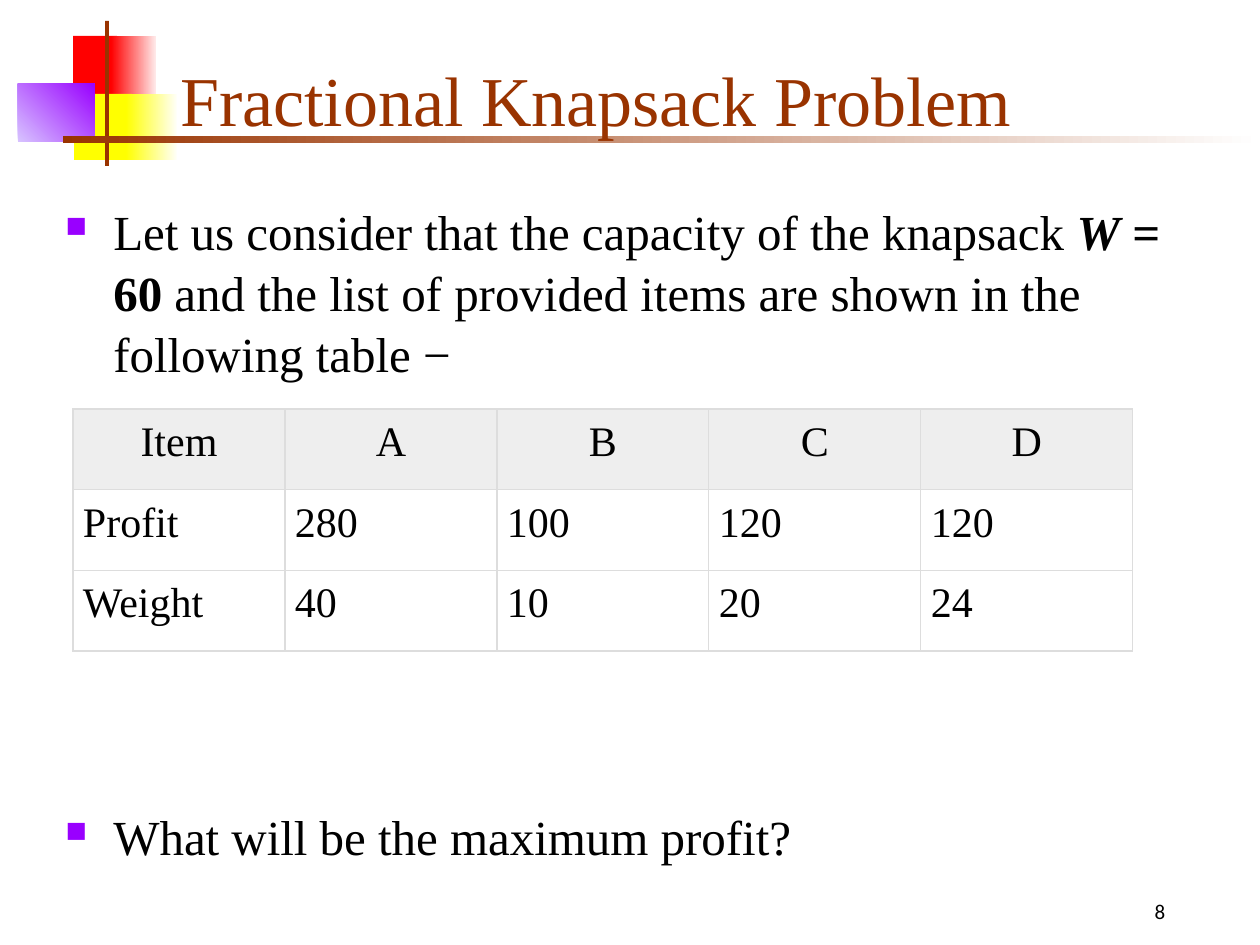
from dataclasses import dataclass

from lxml.etree import SubElement as add_element
from pptx import Presentation
from pptx.dml.color import RGBColor as Color
from pptx.enum.shapes import MSO_SHAPE as Preset
from pptx.enum.text import MSO_ANCHOR as Anchor, PP_ALIGN as Align
from pptx.oxml.ns import qn
from pptx.util import Pt

PX = 914400 / 126


@dataclass(frozen=True)
class Theme:
    serif: str = "Times New Roman"
    sans: str = "Calibri"
    ink: str = "000000"
    brown: str = "993300"
    purple: str = "9900FF"
    lilac: str = "D8C4FF"
    red: str = "FF0000"
    pink: str = "FFEAEA"
    yellow: str = "FFFF00"
    cream: str = "FFFFF8"
    white: str = "FFFFFF"
    header: str = "EEEEEE"
    border: str = "DDDDDD"
    title_size: int = 40
    body_size: int = 28
    table_size: int = 24
    number_size: int = 12
    border_width: float = 0.75


@dataclass(frozen=True)
class Area:
    left: int
    top: int
    width: int
    height: int

    def emu(self) -> tuple[int, ...]:
        return tuple(px(n) for n in (self.left, self.top, self.width, self.height))


@dataclass(frozen=True)
class Block:
    area: Area
    start: str
    end: str = ""
    angle: int = 0


@dataclass(frozen=True)
class Span:
    text: str
    bold: bool = False
    italic: bool = False


@dataclass(frozen=True)
class Bullet:
    spans: tuple[Span, ...]
    space_before: int = 0


THEME = Theme()

BLOCKS = (
    Block(Area(73, 36, 44, 65), THEME.red),
    Block(Area(111, 36, 45, 65), THEME.red, THEME.pink),
    Block(Area(74, 94, 58, 66), THEME.yellow),
    Block(Area(126, 94, 51, 66), THEME.yellow, THEME.cream),
    Block(Area(18, 84, 77, 58), THEME.lilac, THEME.purple, 45),
    Block(Area(105, 21, 4, 145), THEME.brown),
    Block(Area(63, 136, 1197, 7), THEME.brown, THEME.white),
)

BULLETS = (
    Bullet((
        Span("Let us consider that the capacity of the knapsack "),
        Span("W", bold=True, italic=True),
        Span(" = 60", bold=True),
        Span(" and the list of provided items are shown in the following table −"),
    )),
    Bullet((Span("What will be the maximum profit?"),), 241),
)

ITEMS = (
    ("Item", "A", "B", "C", "D"),
    ("Profit", "280", "100", "120", "120"),
    ("Weight", "40", "10", "20", "24"),
)


def px(length: int) -> int:
    return round(length * PX)


def style_run(run, size: int, color: str, face: str = THEME.serif) -> None:
    run.font.name = face
    run.font.size = Pt(size)
    run.font.color.rgb = Color.from_string(color)


def draw_block(page, block: Block) -> None:
    shape = page.shapes.add_shape(Preset.RECTANGLE, *block.area.emu())
    shape.shadow.inherit = False
    shape.line.fill.background()
    if not block.end:
        shape.fill.solid()
        shape.fill.fore_color.rgb = Color.from_string(block.start)
        return
    shape.fill.gradient()
    shape.fill.gradient_angle = block.angle
    for stop, color in zip(shape.fill.gradient_stops, (block.start, block.end)):
        stop.color.rgb = Color.from_string(color)


def add_box(page, area: Area):
    box = page.shapes.add_textbox(*area.emu())
    box.text_frame.word_wrap = True
    return box.text_frame


def draw_title(page, text: str) -> None:
    frame = add_box(page, Area(168, 32, 1073, 115))
    frame.vertical_anchor = Anchor.BOTTOM
    frame.text = text
    style_run(frame.paragraphs[0].runs[0], THEME.title_size, THEME.brown)


def draw_number(page, text: str) -> None:
    frame = add_box(page, Area(1092, 892, 136, 38))
    frame.text = text
    para = frame.paragraphs[0]
    para.alignment = Align.CENTER
    style_run(para.runs[0], THEME.number_size, THEME.ink, THEME.sans)


def mark_bullet(para) -> None:
    props = para._p.get_or_add_pPr()
    props.set("marL", str(px(48)))
    props.set("indent", str(px(-48)))
    color = add_element(props, qn("a:buClr"))
    add_element(color, qn("a:srgbClr"), val=THEME.purple)
    add_element(props, qn("a:buSzPct"), val="60000")
    add_element(props, qn("a:buChar"), char="■")


def draw_bullets(page, bullets: tuple[Bullet, ...]) -> None:
    frame = add_box(page, Area(53, 189, 1182, 656))
    frame.margin_top = px(10)
    frame.margin_right = px(24)
    for index, bullet in enumerate(bullets):
        para = frame.add_paragraph() if index else frame.paragraphs[0]
        para.line_spacing = 1.04
        para.space_before = Pt(bullet.space_before)
        mark_bullet(para)
        for span in bullet.spans:
            run = para.add_run()
            run.text = span.text
            style_run(run, THEME.body_size, THEME.ink)
            run.font.bold = span.bold
            run.font.italic = span.italic


def outline_cell(cell) -> None:
    props = cell._tc.get_or_add_tcPr()
    for index, side in enumerate(("lnL", "lnR", "lnT", "lnB")):
        line = props.makeelement(qn(f"a:{side}"), {"w": str(Pt(THEME.border_width))})
        fill = add_element(line, qn("a:solidFill"))
        add_element(fill, qn("a:srgbClr"), val=THEME.border)
        props.insert(index, line)


def draw_table(page, rows: tuple[tuple[str, ...], ...]) -> None:
    area = Area(73, 409, 1060, 242)
    table = page.shapes.add_table(len(rows), len(rows[0]), *area.emu()).table
    table.first_row = False
    table.horz_banding = False
    for row_index, row in enumerate(rows):
        for column_index, text in enumerate(row):
            cell = table.cell(row_index, column_index)
            cell.margin_left = cell.margin_right = px(10)
            cell.margin_top = cell.margin_bottom = px(10)
            cell.fill.solid()
            fill = THEME.white if row_index else THEME.header
            cell.fill.fore_color.rgb = Color.from_string(fill)
            outline_cell(cell)
            cell.text_frame.text = text
            para = cell.text_frame.paragraphs[0]
            para.alignment = Align.LEFT if row_index else Align.CENTER
            style_run(para.runs[0], THEME.table_size, THEME.ink)


def main() -> None:
    deck = Presentation()
    deck.slide_width, deck.slide_height = px(1260), px(945)
    page = deck.slides.add_slide(deck.slide_layouts[6])
    for block in BLOCKS:
        draw_block(page, block)
    draw_number(page, "8")
    draw_title(page, "Fractional Knapsack Problem")
    draw_bullets(page, BULLETS)
    draw_table(page, ITEMS)
    deck.save("out.pptx")


if __name__ == "__main__":
    main()
